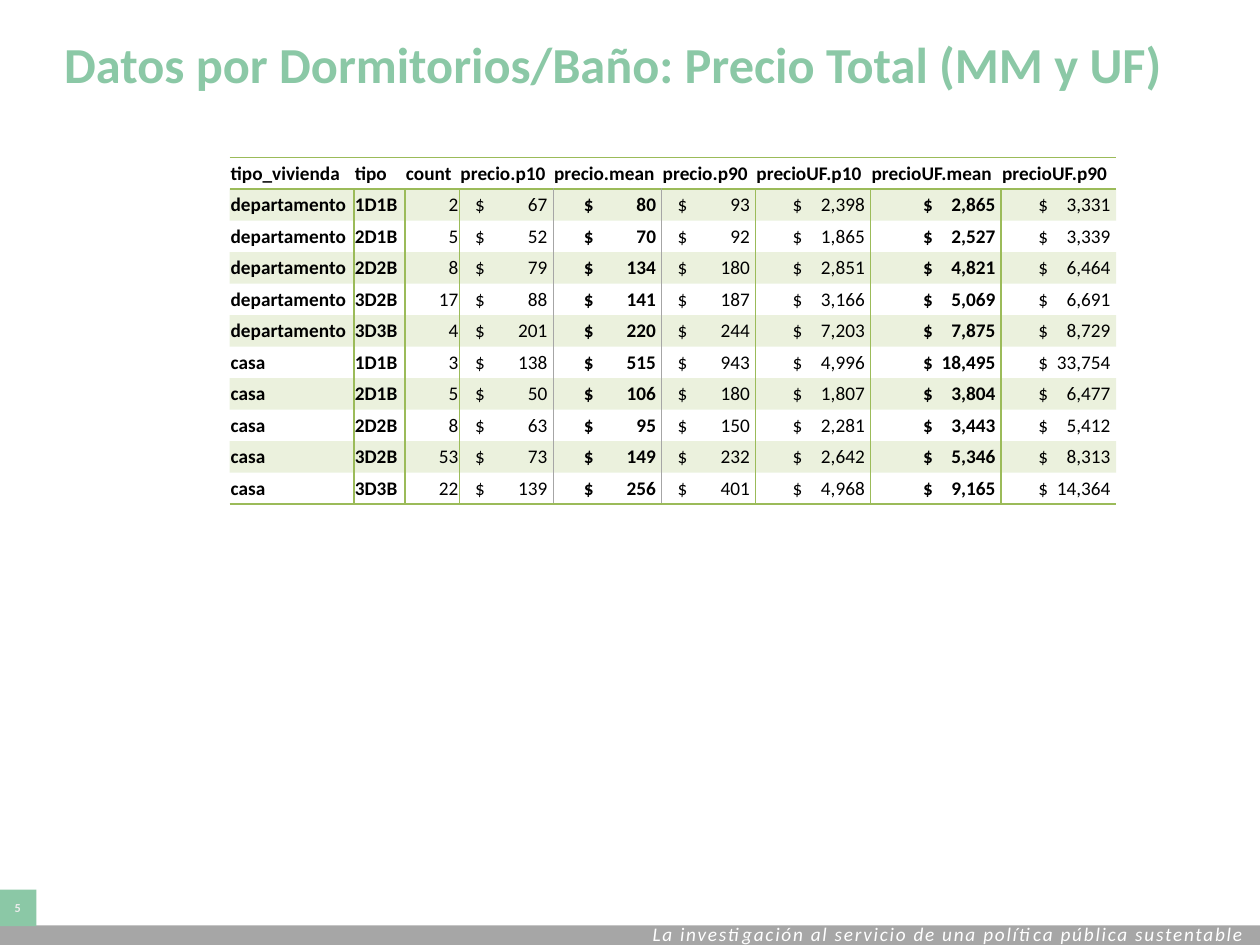
from lxml import etree
from pptx import Presentation
from pptx.dml.color import RGBColor
from pptx.enum import shapes, text
from pptx.oxml import ns
from pptx.util import Pt

GREEN, GREY, MINT, WHITE = "9BBB59", "A6A6A6", "8BC8A6", "FFFFFF"
LEFT, CENTER, RIGHT = (text.PP_ALIGN.LEFT, text.PP_ALIGN.CENTER,
                       text.PP_ALIGN.RIGHT)
NO_STYLE = "{2D5ABB26-0587-4C30-8999-92F81FD0307C}"
PRICE_FROM_RIGHT, PRICE_END = 44.5, 3.2

HEADINGS = ["tipo_vivienda", "tipo", "count", "precio.p10", "precio.mean",
            "precio.p90", "precioUF.p10", "precioUF.mean", "precioUF.p90"]
WIDTHS = [71, 29.2, 31.2, 53.5, 62.1, 53.6, 65.8, 74.6, 65.8]
HOMES = [
    ("departamento", "1D1B", 2, 67, 80, 93, 2398, 2865, 3331),
    ("departamento", "2D1B", 5, 52, 70, 92, 1865, 2527, 3339),
    ("departamento", "2D2B", 8, 79, 134, 180, 2851, 4821, 6464),
    ("departamento", "3D2B", 17, 88, 141, 187, 3166, 5069, 6691),
    ("departamento", "3D3B", 4, 201, 220, 244, 7203, 7875, 8729),
    ("casa", "1D1B", 3, 138, 515, 943, 4996, 18495, 33754),
    ("casa", "2D1B", 5, 50, 106, 180, 1807, 3804, 6477),
    ("casa", "2D2B", 8, 63, 95, 150, 2281, 3443, 5412),
    ("casa", "3D2B", 53, 73, 149, 232, 2642, 5346, 8313),
    ("casa", "3D3B", 22, 139, 256, 401, 4968, 9165, 14364),
]
BOLD_COLUMNS = {0, 1, 4, 7}
COLUMN_RULES = {0: (GREEN, 1), 1: (GREEN, 1), 2: (GREEN, 1),
                3: (GREY, 0.5), 5: (GREEN, 1), 6: (GREEN, 1)}


def color(value):
    return RGBColor.from_string(value)


def write(frame, words, size=11, ink="000000", bold=False, italic=False,
          align=LEFT, spacing=0, after=0):
    paragraph = frame.paragraphs[0]
    paragraph.alignment = align
    paragraph.space_after = Pt(after)
    run = paragraph.add_run()
    run.text = words
    font = run.font
    font.name, font.size, font.bold, font.italic = "Calibri", Pt(size), bold, italic
    font.color.rgb = color(ink)
    if spacing:
        font._element.set("spc", str(spacing * 100))
    return paragraph


def block(slide, left, top, width, height, fill):
    shape = slide.shapes.add_shape(shapes.MSO_SHAPE.RECTANGLE, Pt(left), Pt(top),
                                   Pt(width), Pt(height))
    shape.shadow.inherit = False
    shape.fill.solid()
    shape.fill.fore_color.rgb = color(fill)
    shape.line.fill.background()
    return shape


def footer(slide, left, top, width, height):
    block(slide, left, top + 20.5, width, height - 20.5, GREY)
    tagline = slide.shapes.add_textbox(Pt(left + 366.5), Pt(top + 15.1),
                                       Pt(405.4), Pt(20.9)).text_frame
    tagline.word_wrap = True
    write(tagline, "La investigación al servicio de una política pública sustentable",
          ink=WHITE, italic=True, spacing=1)
    badge = block(slide, left, top, 21.6, 20.9, MINT).text_frame
    badge.vertical_anchor = text.MSO_ANCHOR.MIDDLE
    badge.margin_left = badge.margin_right = 0
    write(badge, "5", size=7, ink="ECECEC", bold=True, align=CENTER, after=6)


def heading(slide, left, top, width, height):
    title = slide.shapes.title
    title.left, title.top = Pt(left), Pt(top)
    title.width, title.height = Pt(width), Pt(height)
    frame = title.text_frame
    frame.auto_size = text.MSO_AUTO_SIZE.NONE
    frame.vertical_anchor = text.MSO_ANCHOR.MIDDLE
    frame.margin_left = frame.margin_right = Pt(2.9)
    frame.margin_top = frame.margin_bottom = Pt(1.4)
    write(frame, "Datos por Dormitorios/Baño: Precio Total (MM y UF)",
          size=28.8, ink=MINT, bold=True)


def border(cell, side, ink, weight):
    line = etree.SubElement(cell._tc.get_or_add_tcPr(), ns.qn(f"a:ln{side}"),
                            w=str(Pt(weight)))
    fill = etree.SubElement(line, ns.qn("a:solidFill"))
    etree.SubElement(fill, ns.qn("a:srgbClr"), val=ink)


def draw_borders(cell, row, column):
    body = row > 0
    if body and column - 1 in COLUMN_RULES:
        border(cell, "L", *COLUMN_RULES[column - 1])
    if body and column in COLUMN_RULES:
        border(cell, "R", *COLUMN_RULES[column])
    if row == 0:
        border(cell, "T", GREEN, 1)
    if row in (0, len(HOMES)):
        border(cell, "B", GREEN, 1)


def shade(cell, banded):
    if not banded:
        cell.fill.background()
        return
    cell.fill.solid()
    cell.fill.fore_color.rgb = color(GREEN)
    tint = cell._tc.tcPr.find(ns.qn("a:solidFill"))[0]
    etree.SubElement(tint, ns.qn("a:alpha"), val="20000")


def price(cell, amount, width, bold):
    cell.margin_left = Pt(width - PRICE_FROM_RIGHT)
    cell.margin_right = 0
    paragraph = write(cell.text_frame, f"$\t{amount:,}", bold=bold)
    tabs = etree.SubElement(paragraph._p.get_or_add_pPr(), ns.qn("a:tabLst"))
    etree.SubElement(tabs, ns.qn("a:tab"), algn="r",
                     pos=str(Pt(PRICE_FROM_RIGHT - PRICE_END)))


def price_table(slide, left, top, width, height):
    rows = [HEADINGS, *HOMES]
    frame = slide.shapes.add_table(len(rows), len(WIDTHS), Pt(left), Pt(top),
                                   Pt(width), Pt(height))
    table = frame.table
    table.first_row = table.horz_banding = False
    next(frame.element.iter(ns.qn("a:tableStyleId"))).text = NO_STYLE
    for column, column_width in zip(table.columns, WIDTHS):
        column.width = Pt(column_width)
    for r, values in enumerate(rows):
        table.rows[r].height = Pt(height / len(rows))
        for c, value in enumerate(values):
            cell = table.cell(r, c)
            cell.vertical_anchor = text.MSO_ANCHOR.MIDDLE
            cell.margin_left = cell.margin_right = cell.margin_top = Pt(0.6)
            cell.margin_bottom = 0
            draw_borders(cell, r, c)
            shade(cell, r % 2 == 1)
            bold = r == 0 or c in BOLD_COLUMNS
            if r and c > 2:
                price(cell, value, WIDTHS[c], bold)
            else:
                write(cell.text_frame, str(value), bold=bold,
                      align=RIGHT if r and c == 2 else LEFT)


def main():
    deck = Presentation()
    deck.slide_width, deck.slide_height = Pt(720), Pt(540)
    slide = deck.slides.add_slide(deck.slide_layouts[5])
    footer(slide, -0.7, 508.3, 722, 31.7)
    heading(slide, 33.8, 3.6, 671.8, 65.5)
    price_table(slide, 131.2, 90, sum(WIDTHS), 198)
    deck.save("out.pptx")


if __name__ == "__main__":
    main()
